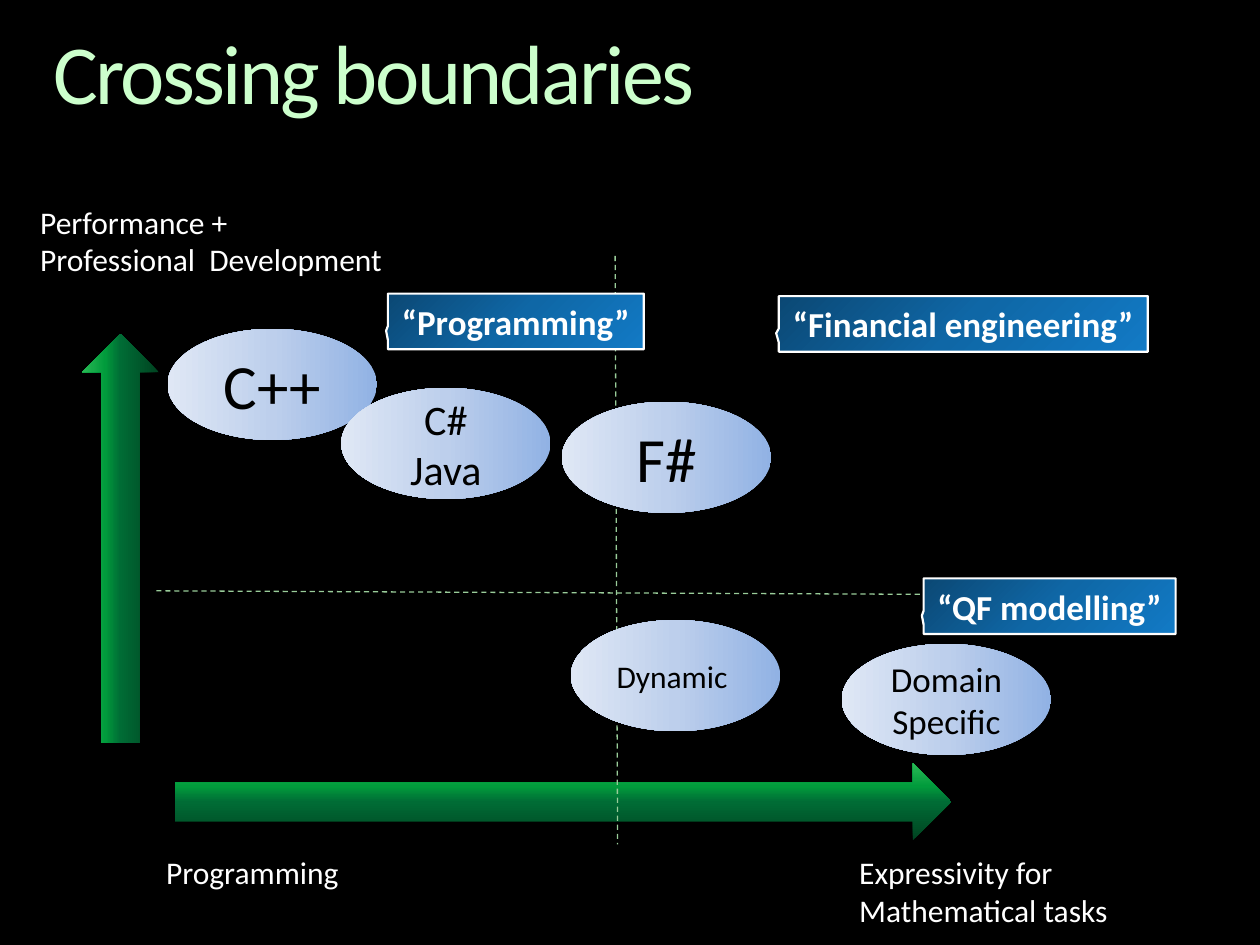
from pptx import Presentation
from pptx.dml.color import RGBColor
from pptx.enum.dml import MSO_LINE
from pptx.enum.shapes import MSO_CONNECTOR, MSO_SHAPE
from pptx.enum.text import MSO_ANCHOR, MSO_AUTO_SIZE, PP_ALIGN
from pptx.oxml import parse_xml
from pptx.oxml.ns import nsdecls
from pptx.util import Cm, Pt

ARROW, OVAL = MSO_SHAPE.RIGHT_ARROW, MSO_SHAPE.OVAL
CALLOUT = MSO_SHAPE.RECTANGULAR_CALLOUT
STRAIGHT, DASH = MSO_CONNECTOR.STRAIGHT, MSO_LINE.DASH
LEFT, CENTER = PP_ALIGN.LEFT, PP_ALIGN.CENTER
TOP, MIDDLE = MSO_ANCHOR.TOP, MSO_ANCHOR.MIDDLE
GROW = MSO_AUTO_SIZE.SHAPE_TO_FIT_TEXT

FONT = "Calibri"
BLACK = RGBColor(0x00, 0x00, 0x00)
WHITE = RGBColor(0xFF, 0xFF, 0xFF)
MINT = RGBColor(0xCC, 0xFF, 0xCC)
SAGE = RGBColor(0x99, 0xCC, 0x99)

# Blends: angle in degrees, then (percent, colour) stops
GREEN = (270, [(0, RGBColor(0x00, 0x43, 0x21)), (50, RGBColor(0x00, 0x6C, 0x35)),
               (70, RGBColor(0x01, 0x9B, 0x3C)), (100, RGBColor(0x29, 0xB9, 0x55))])
PALE = (180, [(0, RGBColor(0x91, 0xB2, 0xE4)), (50, RGBColor(0xBD, 0xCF, 0xEC)),
              (100, RGBColor(0xDF, 0xE7, 0xF5))])
BLUE = (45, [(0, RGBColor(0x0B, 0x48, 0x74)), (50, RGBColor(0x0F, 0x67, 0xA6)),
             (100, RGBColor(0x12, 0x7A, 0xC5))])


def write(frame, lines, size, color, align=LEFT, bold=False):
    for i, line in enumerate(lines):
        para = frame.paragraphs[0] if i == 0 else frame.add_paragraph()
        para.alignment = align
        run = para.add_run()
        run.text = line
        font = run.font
        font.name, font.size, font.bold = FONT, Pt(size), bold
        font.color.rgb = color


def add_shape(slide, kind, x, y, w, h, blend):
    shape = slide.shapes.add_shape(kind, Cm(x), Cm(y), Cm(w), Cm(h))
    shape.shadow.inherit = False
    shape.line.fill.background()
    angle, stops = blend
    marks = "".join(f'<a:gs pos="{pos * 1000}"><a:srgbClr val="{color}"/></a:gs>'
                    for pos, color in stops)
    grad = parse_xml(f'<a:gradFill {nsdecls("a")} rotWithShape="1"><a:gsLst>{marks}</a:gsLst>'
                     f'<a:lin ang="{angle * 60000}" scaled="0"/></a:gradFill>')
    shape.fill.background()
    props = shape._element.spPr
    props.replace(props.find("{*}noFill"), grad)
    return shape


def add_title(slide, text):
    box = slide.shapes.add_textbox(Cm(1.07), Cm(0.64), Cm(23.29), Cm(1.85))
    frame = box.text_frame
    frame.word_wrap, frame.auto_size, frame.vertical_anchor = True, GROW, TOP
    frame.margin_left = frame.margin_right = frame.margin_top = frame.margin_bottom = 0
    write(frame, [text], 48, MINT)
    para = frame.paragraphs[0]
    para.line_spacing = 0.9
    para.runs[0].font._element.set("spc", "-150")


def add_label(slide, x, y, w, h, lines):
    frame = slide.shapes.add_textbox(Cm(x), Cm(y), Cm(w), Cm(h)).text_frame
    frame.word_wrap, frame.auto_size = False, GROW
    write(frame, lines, 18, WHITE)


def add_oval(slide, x, y, lines, size):
    frame = add_shape(slide, OVAL, x, y, 4.22, 2.24, PALE).text_frame
    frame.word_wrap, frame.vertical_anchor = True, MIDDLE
    write(frame, lines, size, BLACK, CENTER)


def add_callout(slide, x, y, w, text):
    shape = add_shape(slide, CALLOUT, x, y, w, 1.12, BLUE)
    shape.adjustments[0], shape.adjustments[1] = -0.507, 0.169
    shape.line.color.rgb = WHITE
    shape.line.width = Pt(1.25)
    frame = shape.text_frame
    frame.word_wrap, frame.auto_size, frame.vertical_anchor = False, GROW, MIDDLE
    write(frame, [text], 20, WHITE, CENTER, True)


def add_dash(slide, *ends):
    line = slide.shapes.add_connector(STRAIGHT, *[Cm(end) for end in ends])
    line.line.color.rgb = SAGE
    line.line.width = Pt(0.75)
    line.line.dash_style = DASH
    line._element.spPr.append(parse_xml(f'<a:effectLst {nsdecls("a")}/>'))


def main():
    deck = Presentation()
    deck.slide_width, deck.slide_height = Cm(25.4), Cm(19.05)
    slide = deck.slides.add_slide(deck.slide_layouts[6])
    back = slide.background.fill
    back.solid()
    back.fore_color.rgb = BLACK

    add_title(slide, "Crossing boundaries")

    # Axes and their labels
    add_shape(slide, ARROW, 3.53, 15.39, 15.65, 1.55, GREEN)
    add_shape(slide, ARROW, -1.7, 10.08, 8.26, 1.55, GREEN).rotation = 270
    add_label(slide, 3.1, 17.07, 4.01, 1.02, ["Programming"])
    add_label(slide, 17.07, 17.07, 5.56, 1.8, ["Expressivity for", "Mathematical tasks"])
    add_label(slide, 0.56, 3.96, 7.49, 1.8, ["Performance +", "Professional  Development"])

    # Languages, with the dashed boundaries
    add_dash(slide, 12.4, 5.16, 12.45, 17.02)
    for x, y, lines, size in [
        (11.33, 8.1, ["F#"], 36),
        (3.38, 6.63, ["C++"], 36),
        (16.97, 12.98, ["Domain Specific"], 20),
        (6.88, 7.82, ["C#", "Java"], 24),
        (11.51, 12.5, ["Dynamic "], 18),
    ]:
        add_oval(slide, x, y, lines, size)
    add_dash(slide, 3.15, 11.91, 20.57, 11.99)

    # Names of the fields
    add_callout(slide, 7.82, 5.92, 5.16, "“Programming”")
    add_callout(slide, 18.62, 11.66, 5.08, "“QF modelling”")
    add_callout(slide, 15.7, 5.97, 7.44, "“Financial engineering”")

    deck.save("out.pptx")


if __name__ == "__main__":
    main()
